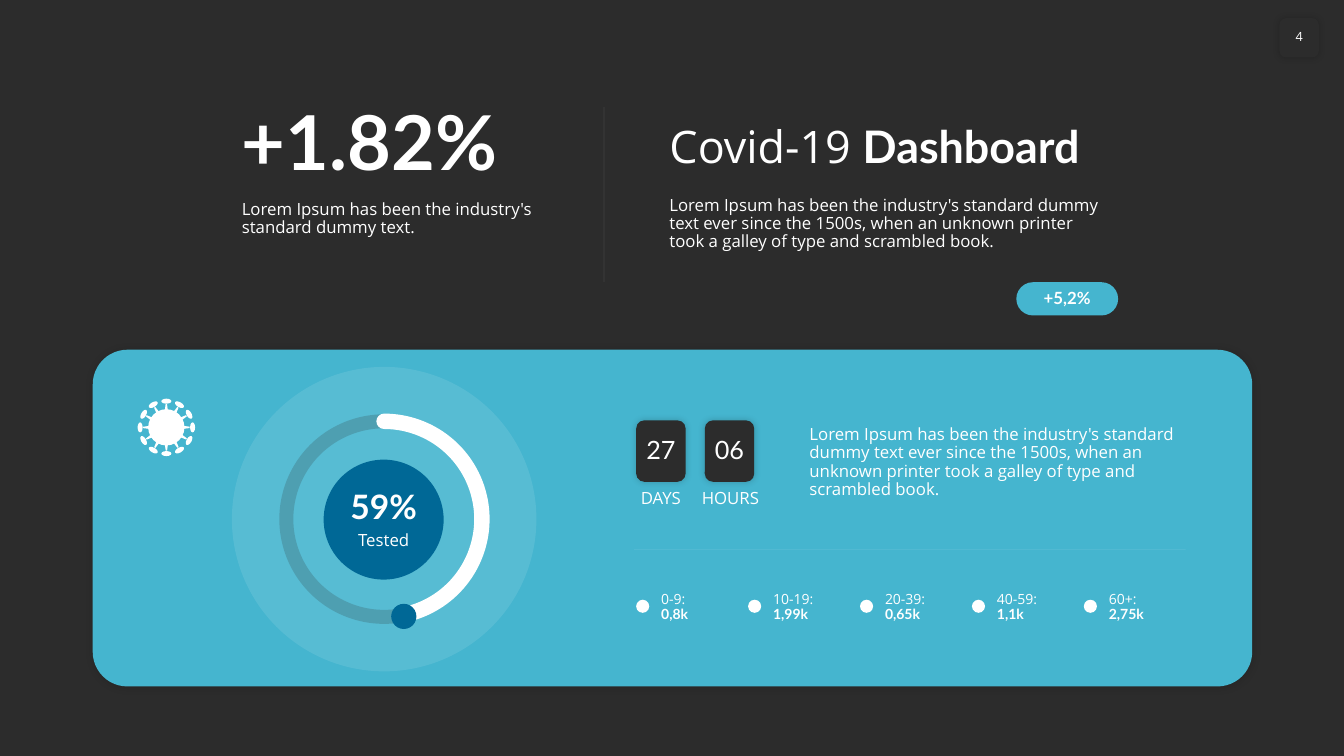
import math

import lxml.etree
import pptx
import pptx.dml.color
import pptx.enum.shapes
import pptx.enum.text
import pptx.oxml.ns
import pptx.util
from pptx.util import Inches

DARK = pptx.dml.color.RGBColor(0x2C, 0x2C, 0x2C)
WHITE = pptx.dml.color.RGBColor(0xFF, 0xFF, 0xFF)
CYAN = pptx.dml.color.RGBColor(0x45, 0xB5, 0xCF)
BLUE = pptx.dml.color.RGBColor(0x00, 0x68, 0x96)
BODY, DISPLAY = "Open Sans", "Lato"

PRESET = pptx.enum.shapes.MSO_SHAPE
ALIGN = pptx.enum.text.PP_ALIGN
ANCHOR = pptx.enum.text.MSO_ANCHOR
qn = pptx.oxml.ns.qn

LOREM = "Lorem Ipsum has been the industry's standard dummy text"
LOREM_LONG = (LOREM + " ever since the 1500s, when an unknown printer"
              " took a galley of type and scrambled book.")


def add_shape(parent, preset, box, fill=None):
    shape = parent.shapes.add_shape(preset, *map(Inches, box))
    shape.shadow.inherit = False
    shape.line.fill.background()
    if fill is None:
        shape.fill.background()
    else:
        shape.fill.solid()
        shape.fill.fore_color.rgb = fill
    return shape


def write(shape, lines, size, bold=False, align=ALIGN.LEFT,
          anchor=ANCHOR.TOP, side=0.1, wrap=True):
    """Write (text, font) lines into a shape."""
    frame = shape.text_frame
    frame.word_wrap = wrap
    frame.auto_size = pptx.enum.text.MSO_AUTO_SIZE.NONE
    frame.vertical_anchor = anchor
    frame.margin_left = frame.margin_right = Inches(side)
    frame.margin_top = frame.margin_bottom = Inches(0.05)
    for index, (text, font) in enumerate(lines):
        paragraph = frame.add_paragraph() if index else frame.paragraphs[0]
        paragraph.text = text
        paragraph.alignment = align
        paragraph.line_spacing = 0.9
        paragraph.font.size = pptx.util.Pt(size)
        paragraph.font.name = font
        paragraph.font.bold = bold or index > 0
        paragraph.font.color.rgb = WHITE


deck = pptx.Presentation()
deck.slide_width, deck.slide_height = Inches(13.33), Inches(7.5)
slide = deck.slides.add_slide(deck.slide_layouts[5])
slide.background.fill.solid()
slide.background.fill.fore_color.rgb = DARK

# Title
title = slide.shapes.title
title.left, title.top = Inches(6.54), Inches(1.13)
title.width, title.height = Inches(4.55), Inches(0.64)
write(title, [("Covid-19 ", BODY)], 32, anchor=ANCHOR.BOTTOM)
title_word = title.text_frame.paragraphs[0].add_run()
title_word.text = "Dashboard"
title_word.font.name = DISPLAY
title_word.font.bold = True

# Page number and growth pill
page_number = add_shape(slide, PRESET.ROUNDED_RECTANGLE, (12.69, 0.18, 0.39, 0.39), DARK)
write(page_number, [("4", BODY)], 9, align=ALIGN.CENTER, anchor=ANCHOR.MIDDLE,
      side=0, wrap=False)
growth_pill = add_shape(slide, PRESET.ROUNDED_RECTANGLE, (10.08, 2.8, 1.01, 0.33), CYAN)
growth_pill.adjustments[0] = 0.5
write(growth_pill, [("+5,2%", DISPLAY)], 12, bold=True, align=ALIGN.CENTER,
      anchor=ANCHOR.MIDDLE, side=0)

# Panel and progress ring
panel = add_shape(slide, PRESET.ROUNDED_RECTANGLE, (0.92, 3.47, 11.5, 3.34), CYAN)
panel.adjustments[0] = 0.103
halo = add_shape(slide, PRESET.OVAL, (2.3, 3.64, 3.02, 3.02), WHITE)
add_shape(slide, PRESET.OVAL, (3.21, 4.56, 1.19, 1.19), BLUE)

RING_BOX = (2.84, 4.18, 1.94, 1.94)
track = add_shape(slide, PRESET.OVAL, RING_BOX)
track.line.color.rgb = DARK
track.line.width = pptx.util.Pt(10)
progress = add_shape(slide, PRESET.ARC, RING_BOX)
progress.adjustments[0] = 162
progress.adjustments[1] = 44.96
progress.line.color.rgb = WHITE
progress.line.width = pptx.util.Pt(11)
progress.line._get_or_add_ln().set("cap", "rnd")
add_shape(slide, PRESET.OVAL, (3.88, 5.99, 0.25, 0.25), BLUE)

# Virus icon: a body with twelve spikes
VIRUS_X, VIRUS_Y = 1.65, 4.24
virus = slide.shapes.add_group_shape()
add_shape(virus, PRESET.OVAL, (VIRUS_X - 0.18, VIRUS_Y - 0.18, 0.36, 0.36), WHITE)
for angle in range(0, 360, 30):
    for preset, radius, width, height in ((PRESET.OVAL, 0.26, 0.1, 0.05),
                                          (PRESET.TRAPEZOID, 0.2, 0.03, 0.06)):
        x = VIRUS_X + radius * math.sin(math.radians(angle))
        y = VIRUS_Y - radius * math.cos(math.radians(angle))
        spike = add_shape(virus, preset, (x - width / 2, y - height / 2, width, height), WHITE)
        spike.rotation = angle
        if preset == PRESET.TRAPEZOID:
            spike.adjustments[0] = 0.27

# Text blocks: box, text, font, size, bold, alignment, anchor, side margin
for box, text, font, size, bold, align, anchor, side in (
    ((2.3, 0.89, 3.36, 1.01), "+1.82%", DISPLAY, 54, True, ALIGN.LEFT, ANCHOR.BOTTOM, 0.1),
    ((2.3, 1.94, 3.36, 0.5), LOREM + ".", BODY, 12, False, ALIGN.LEFT, ANCHOR.TOP, 0.1),
    ((6.54, 1.9, 4.55, 0.71), LOREM_LONG, BODY, 12, False, ALIGN.LEFT, ANCHOR.TOP, 0.1),
    ((7.93, 4.18, 3.82, 0.91), LOREM_LONG, BODY, 12, False, ALIGN.LEFT, ANCHOR.TOP, 0.1),
    ((3.21, 4.77, 1.19, 0.5), "59%", DISPLAY, 24, True, ALIGN.CENTER, ANCHOR.BOTTOM, 0.1),
    ((3.21, 5.23, 1.19, 0.3), "Tested", BODY, 12, False, ALIGN.CENTER, ANCHOR.TOP, 0.1),
    ((6.26, 4.81, 0.59, 0.3), "DAYS", BODY, 12, False, ALIGN.CENTER, ANCHOR.TOP, 0.04),
    ((6.91, 4.81, 0.67, 0.3), "HOURS", BODY, 12, False, ALIGN.CENTER, ANCHOR.TOP, 0.04),
):
    block = slide.shapes.add_textbox(*map(Inches, box))
    write(block, [(text, font)], size, bold, align, anchor, side)

# Countdown tiles
tiles = []
for left, value in ((6.31, "27"), (6.99, "06")):
    tile = add_shape(slide, PRESET.ROUNDED_RECTANGLE, (left, 4.17, 0.49, 0.61), DARK)
    write(tile, [(value, DISPLAY)], 18, align=ALIGN.CENTER, anchor=ANCHOR.MIDDLE, side=0)
    tiles.append(tile)

# Age groups
AGE_GROUPS = (("0-9:", "0,8k"), ("10-19:", "1,99k"), ("20-39:", "0,65k"),
              ("40-59:", "1,1k"), ("60+:", "2,75k"))
for index, (ages, cases) in enumerate(AGE_GROUPS):
    left = 6.31 + 1.11 * index
    add_shape(slide, PRESET.OVAL, (left, 5.95, 0.13, 0.13), WHITE)
    age_label = slide.shapes.add_textbox(*map(Inches, (left + 0.15, 5.81, 0.8, 0.44)))
    write(age_label, [(ages, BODY), (cases, DISPLAY)], 10, anchor=ANCHOR.MIDDLE)

# Divider lines
dividers = []
for ends in ((6.29, 5.45, 11.76, 5.45), (5.99, 2.8, 5.99, 1.06)):
    divider = slide.shapes.add_connector(pptx.enum.shapes.MSO_CONNECTOR.STRAIGHT,
                                         *map(Inches, ends))
    divider.line.color.rgb = WHITE
    divider.line.width = pptx.util.Pt(0.5)
    lxml.etree.SubElement(divider._element.spPr, qn("a:effectLst"))
    dividers.append(divider)

# Transparency, in percent of opacity
for shape, opacity in ((halo, 10), (track, 20), (dividers[0], 10), (dividers[1], 10)):
    color = next(shape._element.spPr.iter(qn("a:srgbClr")))
    lxml.etree.SubElement(color, qn("a:alpha"), val=str(opacity * 1000))

# Soft shadows: blur and distance in points, opacity in percent
for shape, opacity, blur, distance in ((page_number, 20, 5, 0), (panel, 15, 6, 1),
                                       (tiles[0], 20, 5, 0), (tiles[1], 20, 5, 0)):
    effects = shape._element.spPr.find(qn("a:effectLst"))
    shadow = lxml.etree.SubElement(
        effects, qn("a:outerShdw"), blurRad=str(pptx.util.Pt(blur)),
        dist=str(pptx.util.Pt(distance)), dir="2700000", algn="ctr", rotWithShape="0")
    color = lxml.etree.SubElement(shadow, qn("a:srgbClr"), val="000000")
    lxml.etree.SubElement(color, qn("a:alpha"), val=str(opacity * 1000))

deck.save("out.pptx")
